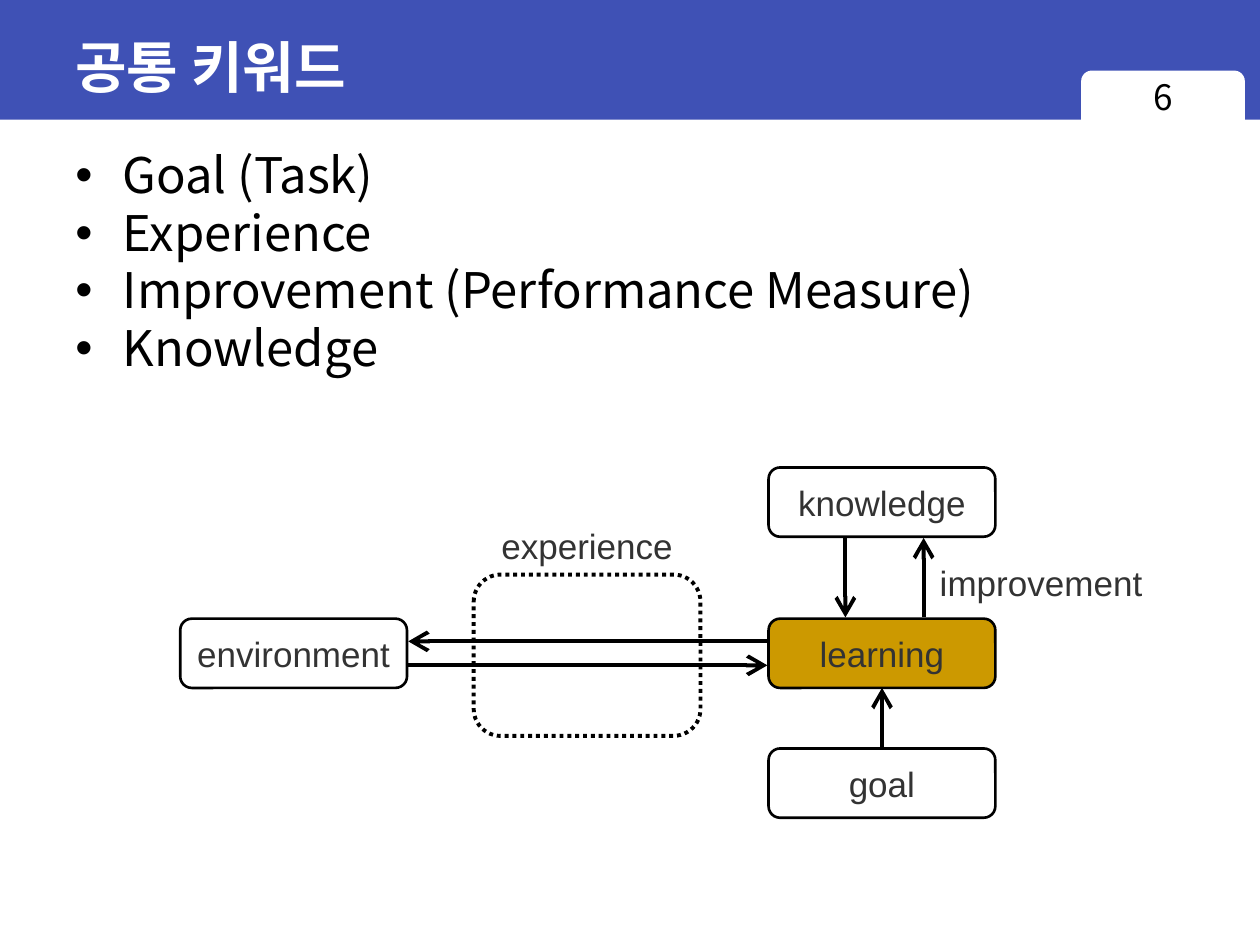
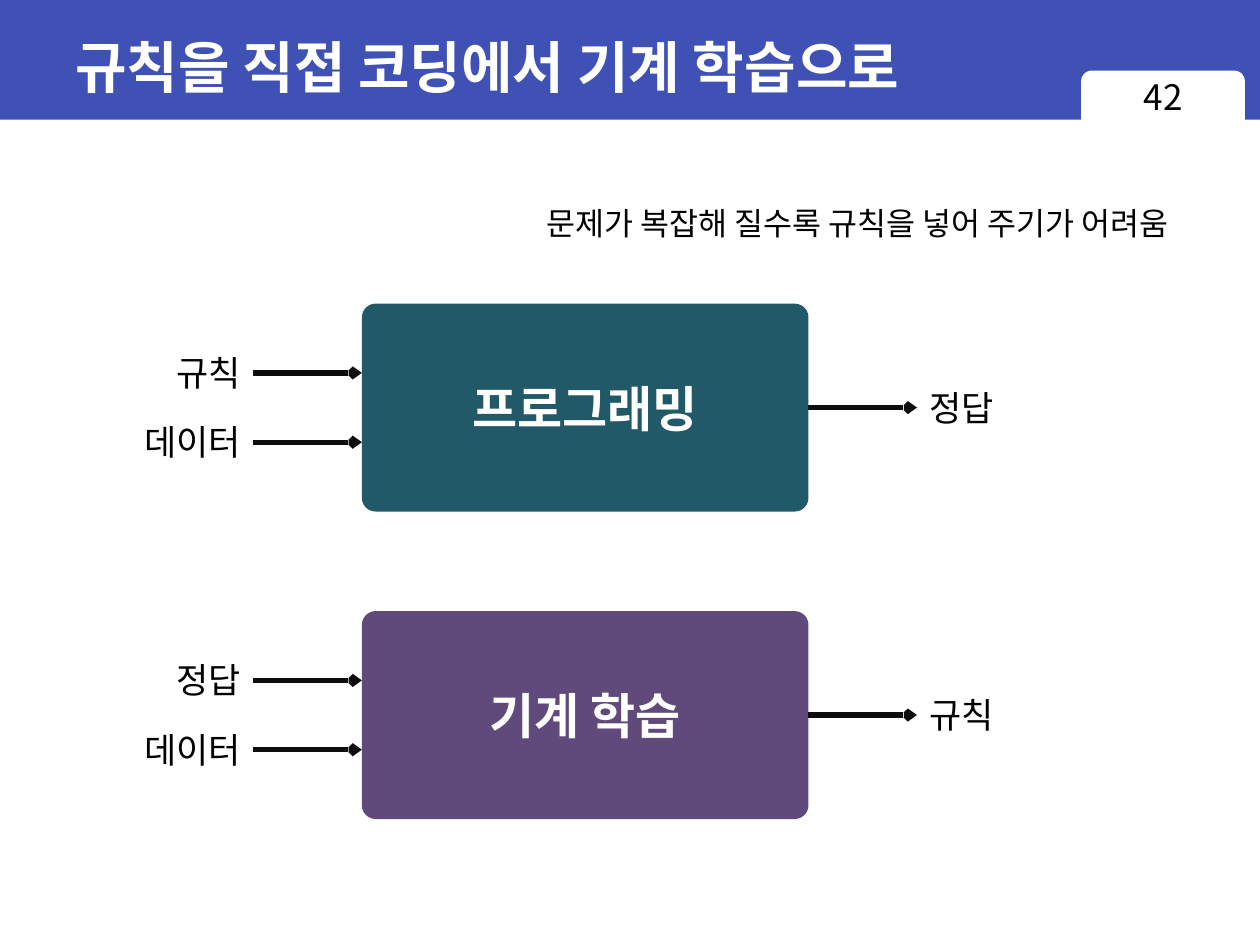
"""Build two slides on machine learning keywords and on learning rules from data."""
from typing import NamedTuple, Optional

from lxml import etree
from pptx import Presentation
from pptx.dml.color import RGBColor
from pptx.enum import dml, shapes, text
from pptx.oxml import ns
from pptx.util import Pt

WHITE = RGBColor(0xFF, 0xFF, 0xFF)
BLACK = RGBColor(0x00, 0x00, 0x00)
INK = RGBColor(0x0D, 0x0D, 0x0D)
GREY = RGBColor(0x33, 0x33, 0x33)
INDIGO = RGBColor(0x3F, 0x51, 0xB5)
GOLD = RGBColor(0xCC, 0x99, 0x00)
TEAL = RGBColor(0x21, 0x59, 0x68)
PURPLE = RGBColor(0x60, 0x4A, 0x7B)

SANS = "Arial"
KOREAN = "Noto Sans CJK KR"
LEFT, CENTER, RIGHT = text.PP_ALIGN.LEFT, text.PP_ALIGN.CENTER, text.PP_ALIGN.RIGHT
TOP, MIDDLE = text.MSO_ANCHOR.TOP, text.MSO_ANCHOR.MIDDLE
RECT = shapes.MSO_SHAPE.RECTANGLE
ROUND = shapes.MSO_SHAPE.ROUNDED_RECTANGLE


class Frame(NamedTuple):
    """Left, top, width and height in points."""
    x: float
    y: float
    w: float
    h: float


class Style(NamedTuple):
    """Look of a run of text and its paragraph."""
    size: float
    color: RGBColor
    font: str = KOREAN
    bold: bool = False
    align: text.PP_ALIGN = LEFT


class Arrow(NamedTuple):
    """Start and end of an arrow in points."""
    x1: float
    y1: float
    x2: float
    y2: float


class Pen(NamedTuple):
    """Colour, width and arrowhead size of an arrow."""
    color: RGBColor
    width: float
    head: str


class Process(NamedTuple):
    """A box that turns inputs into an output."""
    name: str
    top: float
    color: RGBColor
    inputs: tuple
    output: str


TITLE = Style(32, WHITE, SANS, True)
NUMBER = Style(20, BLACK, align=CENTER)
BULLET = Style(28, BLACK)
NODE = Style(20, GREY, SANS, align=CENTER)
CAPTION = Style(20, GREY, SANS)
PROCESS = Style(28, WHITE, bold=True, align=CENTER)
INPUT = Style(20, BLACK, align=RIGHT)
OUTPUT = Style(20, BLACK)
REMARK = Style(18, BLACK)
DIAGRAM_PEN = Pen(BLACK, 2.25, "lg")
FLOW_PEN = Pen(INK, 3, "sm")

TAB = Frame(617.8, 40.3, 93.6, 36.7)
KEYWORDS = ("Goal (Task)", "Experience", "Improvement (Performance Measure)", "Knowledge")
NODE_W, NODE_H = 129.6, 39.6
NODE_X, LEARNING_Y = 439.2, 353.5
NODES = {
    "environment": (103, LEARNING_Y, WHITE),
    "knowledge": (NODE_X, 267.1, WHITE),
    "learning": (NODE_X, LEARNING_Y, GOLD),
    "goal": (NODE_X, 427.7, WHITE),
}
DIAGRAM_ARROWS = (
    Arrow(483.1, 307.4, 483.1, 352.8),
    Arrow(527.8, 352.8, 527.8, 307.4),
    Arrow(438.5, 366.5, 233.3, 366.5),
    Arrow(233.3, 380.2, 438.5, 380.2),
)
PROCESSES = (
    Process("프로그래밍", 173.5, TEAL, ("규칙", "데이터"), "정답"),
    Process("기계 학습", 349.2, PURPLE, ("정답", "데이터"), "규칙"),
)
PROCESS_X, PROCESS_W, PROCESS_H = 206.8, 255.2, 118.8
FLOW_LENGTH, LABEL_H = 62, 31.7


def set_format(target: object, values: dict) -> None:
    """Set each attribute named in values."""
    for name, value in values.items():
        setattr(target, name, value)


def add_run(p, words: str, style: Style) -> None:
    """Append styled text to a paragraph."""
    p.alignment = style.align
    r = p.add_run()
    r.text = words
    r.font.color.rgb = style.color
    set_format(r.font, {"size": Pt(style.size), "bold": style.bold, "name": style.font})
    etree.SubElement(r.font._element, ns.qn("a:ea"), typeface=KOREAN)


def add_text(slide, words: str, at: Frame, style: Style, anchor=TOP, wrap: bool = True):
    """Add a text box; one that does not wrap fits its text."""
    tf = slide.shapes.add_textbox(*map(Pt, at)).text_frame
    auto = text.MSO_AUTO_SIZE.NONE if wrap else text.MSO_AUTO_SIZE.SHAPE_TO_FIT_TEXT
    set_format(tf, {"word_wrap": wrap, "auto_size": auto, "vertical_anchor": anchor})
    if words:
        add_run(tf.paragraphs[0], words, style)
    return tf


def add_box(slide, kind, at: Frame, fill: Optional[RGBColor] = None, line: float = 0,
            corner: float = 0.167):
    """Add a preset shape with an optional fill and black outline."""
    sp = slide.shapes.add_shape(kind, *map(Pt, at))
    sp.shadow.inherit = False
    if kind == ROUND:
        sp.adjustments[0] = corner
    if fill is None:
        sp.fill.background()
    else:
        sp.fill.solid()
        sp.fill.fore_color.rgb = fill
    if line:
        sp.line.color.rgb = BLACK
        sp.line.width = Pt(line)
    else:
        sp.line.fill.background()
    return sp


def label_box(sp, words: str, style: Style, wrap: bool = True) -> None:
    """Write text in the middle of a shape."""
    set_format(sp.text_frame, {"word_wrap": wrap, "vertical_anchor": MIDDLE})
    add_run(sp.text_frame.paragraphs[0], words, style)


def add_arrow(slide, arrow: Arrow, pen: Pen):
    """Add a straight connector with an open arrowhead at its end."""
    cx = slide.shapes.add_connector(shapes.MSO_CONNECTOR.STRAIGHT, *map(Pt, arrow))
    cx.line.color.rgb = pen.color
    cx.line.width = Pt(pen.width)
    ln = cx.line._get_or_add_ln()
    etree.SubElement(ln, ns.qn("a:tailEnd"), type="arrow", w=pen.head, len=pen.head)
    etree.SubElement(cx._element.spPr, ns.qn("a:effectLst"))
    return cx


def add_slide(prs, title: str, number: int):
    """Add a slide with its title band and numbered tab."""
    slide = prs.slides.add_slide(prs.slide_layouts[6])
    add_box(slide, RECT, Frame(0, 0, 720, 68.4), INDIGO)
    add_box(slide, ROUND, TAB, WHITE)
    add_text(slide, title, Frame(36, 7.9, 648, 59.8), TITLE, MIDDLE)
    add_text(slide, str(number), TAB._replace(y=39.6), NUMBER)
    return slide


def add_bullets(slide, items: tuple, at: Frame) -> None:
    """Add a bulleted list."""
    tf = add_text(slide, "", at, BULLET)
    for i, item in enumerate(items):
        p = tf.add_paragraph() if i else tf.paragraphs[0]
        p.line_spacing = 0.9
        if i:
            p.space_before = Pt(2.7)
        ppr = p._p.get_or_add_pPr()
        ppr.set("marL", str(Pt(27)))
        ppr.set("indent", str(-Pt(27)))
        etree.SubElement(ppr, ns.qn("a:buFont"), typeface=SANS)
        etree.SubElement(ppr, ns.qn("a:buChar"), char="•")
        add_run(p, item, BULLET)


def build_keywords(prs) -> None:
    """Build the slide of common keywords and their diagram."""
    slide = add_slide(prs, "공통 키워드", 6)
    add_bullets(slide, KEYWORDS, Frame(36, 82.8, 675.4, 442.1))
    nodes = {}
    for name, (x, y, fill) in NODES.items():
        nodes[name] = add_box(slide, ROUND, Frame(x, y, NODE_W, NODE_H), fill, 1.5)
        label_box(nodes[name], name, NODE, wrap=False)
    zone = add_box(slide, ROUND, Frame(270.7, 328.3, NODE_W, 92.2), line=2.25)
    zone.line.dash_style = dml.MSO_LINE.ROUND_DOT
    for arrow in DIAGRAM_ARROWS:
        add_arrow(slide, arrow, DIAGRAM_PEN)
    middle = NODE_X + NODE_W / 2
    cx = add_arrow(slide, Arrow(middle, 427.7, middle, LEARNING_Y + NODE_H), DIAGRAM_PEN)
    cx.begin_connect(nodes["goal"], 0)
    cx.end_connect(nodes["learning"], 2)
    add_text(slide, "experience", Frame(279.4, 295.9, 112.3, 31), CAPTION, wrap=False)
    add_text(slide, "improvement", Frame(529.9, 317.5, 130.3, 31), CAPTION, wrap=False)


def add_flow_label(slide, words: str, edge: float, middle: float, style: Style) -> None:
    """Add a label that touches an arrow end at the given edge."""
    w = 14.4 + 19 * len(words)
    x = edge - w if style.align == RIGHT else edge
    add_text(slide, words, Frame(x, middle - LABEL_H / 2, w, LABEL_H), style, wrap=False)


def add_process(slide, process: Process) -> None:
    """Add a process box with its input and output arrows."""
    at = Frame(PROCESS_X, process.top, PROCESS_W, PROCESS_H)
    sp = add_box(slide, ROUND, at, process.color, corner=0.066)
    label_box(sp, process.name, PROCESS)
    start = PROCESS_X - FLOW_LENGTH
    for i, words in enumerate(process.inputs, 1):
        y = process.top + i * PROCESS_H / 3
        add_arrow(slide, Arrow(start, y, PROCESS_X, y), FLOW_PEN)
        add_flow_label(slide, words, start, y, INPUT)
    right, y = PROCESS_X + PROCESS_W, process.top + PROCESS_H / 2
    cx = add_arrow(slide, Arrow(right, y, right + FLOW_LENGTH, y), FLOW_PEN)
    cx.begin_connect(sp, 3)
    add_flow_label(slide, process.output, right + FLOW_LENGTH, y, OUTPUT)


def build_processes(prs) -> None:
    """Build the slide that sets programming against machine learning."""
    slide = add_slide(prs, "규칙을 직접 코딩에서 기계 학습으로", 42)
    for process in PROCESSES:
        add_process(slide, process)
    add_text(slide, "문제가 복잡해 질수록 규칙을 넣어 주기가 어려움",
             Frame(305.3, 113, 385.9, 28.8), REMARK, wrap=False)


def main() -> None:
    """Build and save the presentation."""
    prs = Presentation()
    set_format(prs, {"slide_width": Pt(720), "slide_height": Pt(540)})
    build_keywords(prs)
    build_processes(prs)
    prs.save("out.pptx")


if __name__ == "__main__":
    main()
